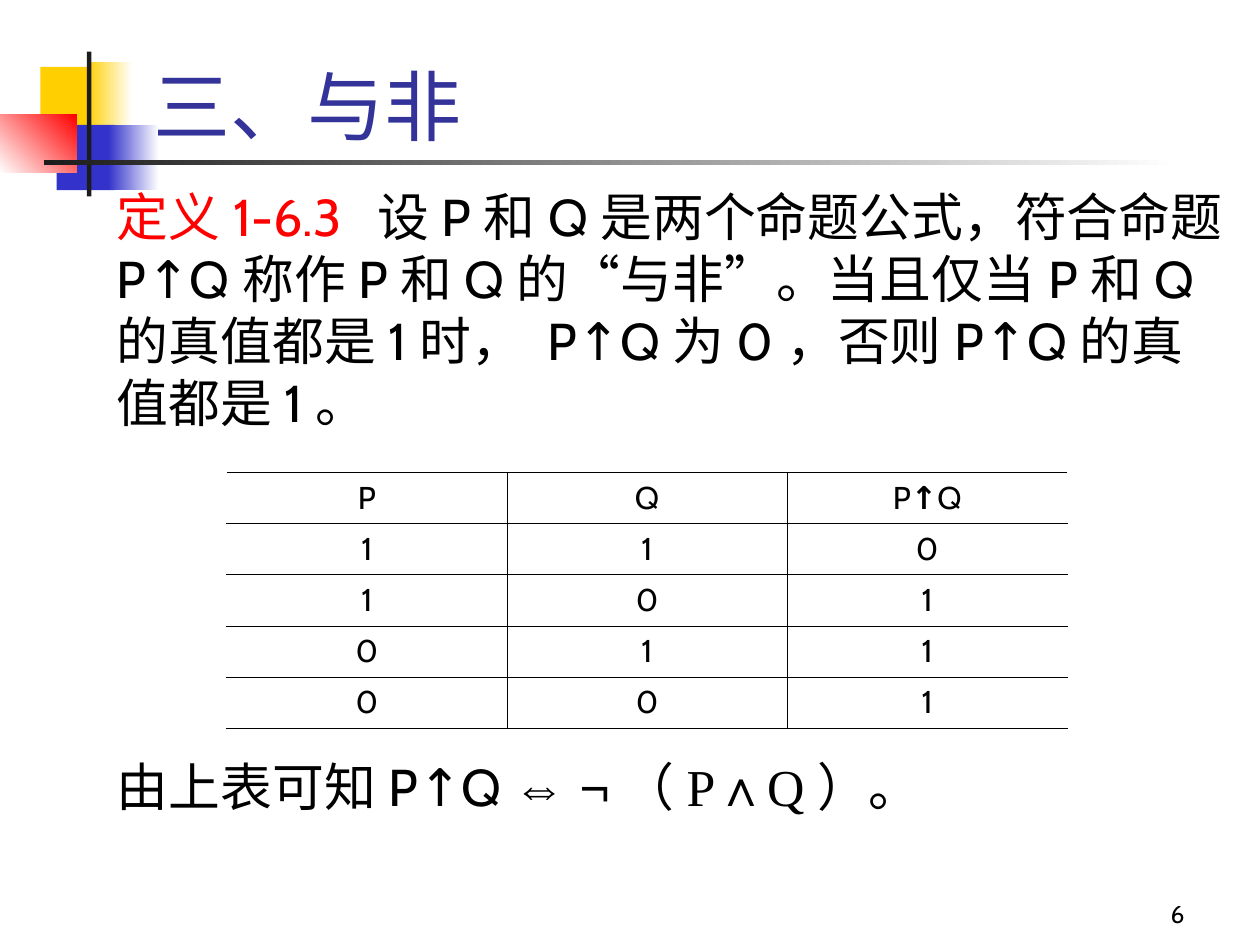
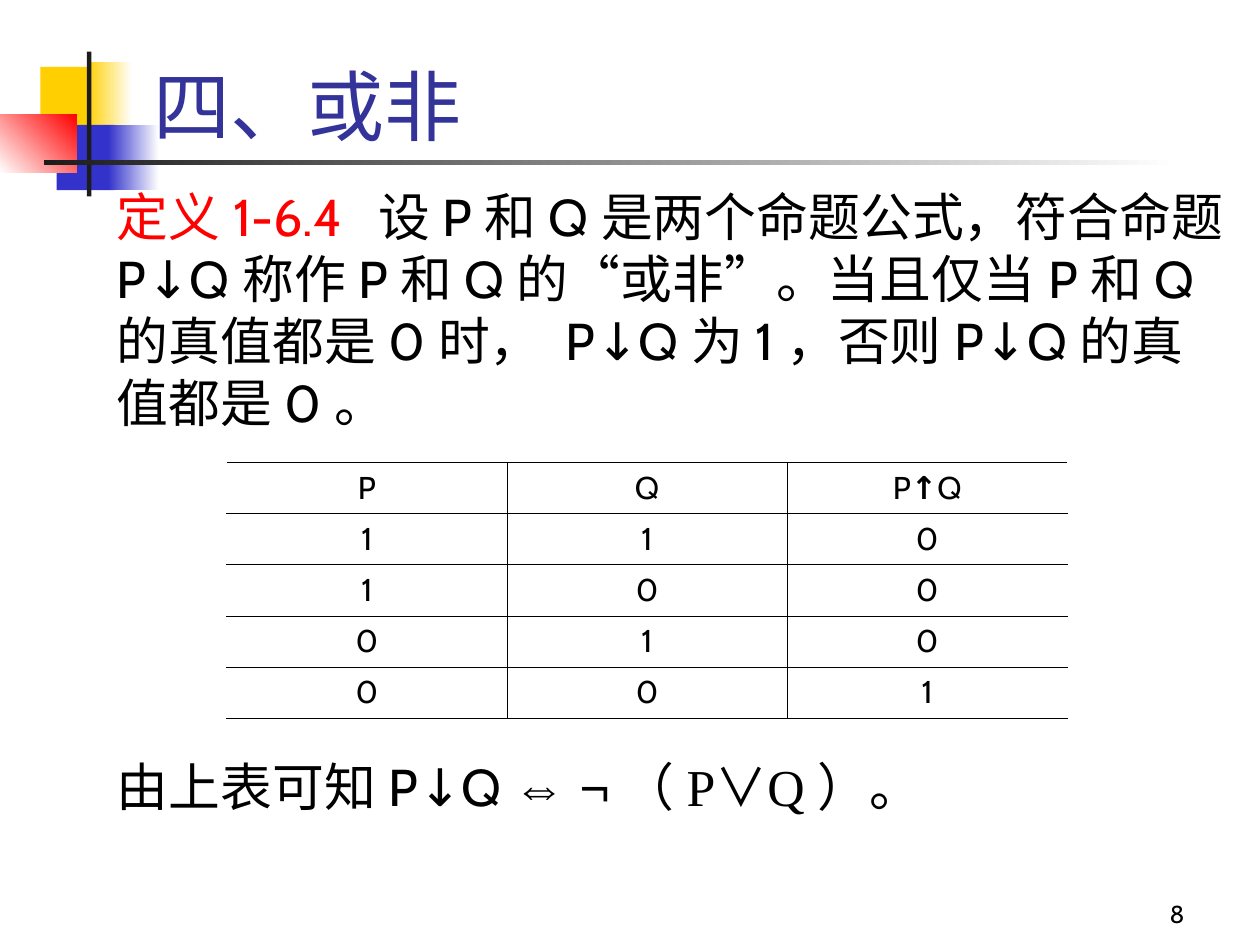
from pptx import Presentation
from pptx import util as u
from pptx.dml.color import RGBColor
from pptx.enum import shapes, text
from pptx.oxml.ns import qn
from lxml import etree

CELL = 0.1
SANS, CJK, SERIF = "Cabin", "Noto Sans CJK SC", "Times New Roman"
BLACK, WHITE, RED, BLUE = "000000", "FFFFFF", "FF0000", "3333CC"
GOLD, DARK, NAVY = "FFCF01", "1C1C1C", "333399"
LEFT, MID, RIGHT = text.PP_ALIGN.LEFT, text.PP_ALIGN.CENTER, text.PP_ALIGN.RIGHT
BADGE = (0, 4.1, 93.5, 11.5)
HEAD = (11.2, 0, 85.2, 12.5)
BODY = (8.3, 14.2, 90, 53.3)
FOOT = (74.2, 69.2, 20.8, 5)


def grid(*cells):
    return [u.Inches(n * CELL) for n in cells]


def rgb(code):
    return RGBColor.from_string(code)


def write(para, words, size=18, font=SANS, color=BLACK, bold=False, align=LEFT):
    para.alignment = align
    run = para.add_run()
    run.text = words
    run.font.size = u.Pt(size)
    run.font.bold = bold
    run.font.name = font
    run.font.color.rgb = rgb(color)
    etree.SubElement(run._r.rPr, qn("a:ea")).set("typeface", CJK)


def frame(slide, box, anchor=text.MSO_ANCHOR.TOP):
    area = slide.shapes.add_textbox(*grid(*box)).text_frame
    area.word_wrap = True
    area.vertical_anchor = anchor
    return area


def block(slide, box, color, fade=None, angle=0):
    part = slide.shapes.add_shape(shapes.MSO_SHAPE.RECTANGLE, *grid(*box))
    part.shadow.inherit = False
    part.line.fill.background()
    if fade is None:
        part.fill.solid()
        part.fill.fore_color.rgb = rgb(color)
        return
    part.fill.gradient()
    part.fill.gradient_angle = angle
    for stop, tone in zip(part.fill.gradient_stops, (color, fade)):
        stop.color.rgb = rgb(tone)


def badge(slide, box):
    x, y, w, h = box
    parts = [
        ((3.2, 1.2, 4.8, 5.2), GOLD),
        ((6.9, 0.8, 3.6, 5.2), GOLD, WHITE),
        ((4.5, 5.8, 4.6, 5.2), BLUE),
        ((8.6, 5.8, 4, 5.2), BLUE, WHITE),
        ((0, 5, 6.1, 4.6), WHITE, RED, 45),
        ((6.9, 0, 0.35, h), DARK),
        ((3.5, 8.6, w - 3.5, 0.4), DARK, WHITE),
    ]
    for (dx, dy, pw, ph), *look in parts:
        block(slide, (x + dx, y + dy, pw, ph), *look)


def label(slide, box, words, **look):
    area = frame(slide, box, text.MSO_ANCHOR.BOTTOM)
    write(area.paragraphs[0], words, **look)


def body(slide, box, term, rule, proof):
    area = frame(slide, box)
    first, last = area.paragraphs[0], area.add_paragraph()
    for para in (first, last):
        para.line_spacing = u.Pt(35.4)
    last.space_before = u.Pt(184)
    write(first, term, size=29.6, color=RED)
    write(first, rule, size=29.6)
    for words, font in proof:
        write(last, words, size=29.6, font=font)


def edge(cell, side, color):
    line = etree.SubElement(cell._tc.get_or_add_tcPr(), qn("a:ln" + side))
    line.set("w", str(u.Pt(0.45)))
    fill = etree.SubElement(line, qn("a:solidFill"))
    etree.SubElement(fill, qn("a:srgbClr")).set("val", color)


def truth(slide, box, values):
    rows = [("P", "Q", "P↑Q")]
    rows += [(p, q, v) for (p, q), v in zip(("11", "10", "01", "00"), values)]
    table = slide.shapes.add_table(len(rows), 3, *grid(*box)).table
    table.first_row = table.horz_banding = False
    for r, row in enumerate(rows):
        for c, words in enumerate(row):
            cell = table.cell(r, c)
            edge(cell, "L", BLACK if c else WHITE)
            edge(cell, "R", BLACK if c < 2 else WHITE)
            edge(cell, "T", BLACK)
            edge(cell, "B", BLACK)
            cell.fill.solid()
            cell.fill.fore_color.rgb = rgb(WHITE)
            para = cell.text_frame.paragraphs[0]
            for sign in words:
                write(para, sign, bold=sign == "↑", align=MID)


def lesson(deck, title, number, term, rule, proof, top, values):
    slide = deck.slides.add_slide(deck.slide_layouts[6])
    badge(slide, BADGE)
    label(slide, FOOT, number, size=14, align=RIGHT)
    label(slide, HEAD, title, size=44, color=NAVY)
    body(slide, BODY, term, rule, proof)
    truth(slide, (18, top, 66.7, 20.3), values)


def define(sign, name, both, other):
    return (f"设P和Q是两个命题公式，符合命题P{sign}Q称作P和Q的“{name}”。"
            f"当且仅当P和Q的真值都是{both}时， P{sign}Q为{other}，"
            f"否则P{sign}Q的真值都是{other if both == 1 else both}。")


def prove(sign, *tail):
    return [(f"由上表可知P{sign}Q ", SANS), ("⇔ ¬", "Arial"), *tail]


def main():
    deck = Presentation()
    deck.slide_width, deck.slide_height = grid(100, 75)
    lesson(deck, "三、与非", "6", "定义1-6.3  ", define("↑", "与非", 1, 0).replace("都是0。", "都是1。"),
           prove("↑", ("（P∧Q）。", SERIF)), 37.5, "0111")
    lesson(deck, "四、或非", "8", "定义1-6.4  ", define("↓", "或非", 0, 1),
           prove("↓", ("（P", SERIF), ("∨", CJK), ("Q）。", SERIF)), 36.7, "0001")
    deck.save("out.pptx")


if __name__ == "__main__":
    main()
